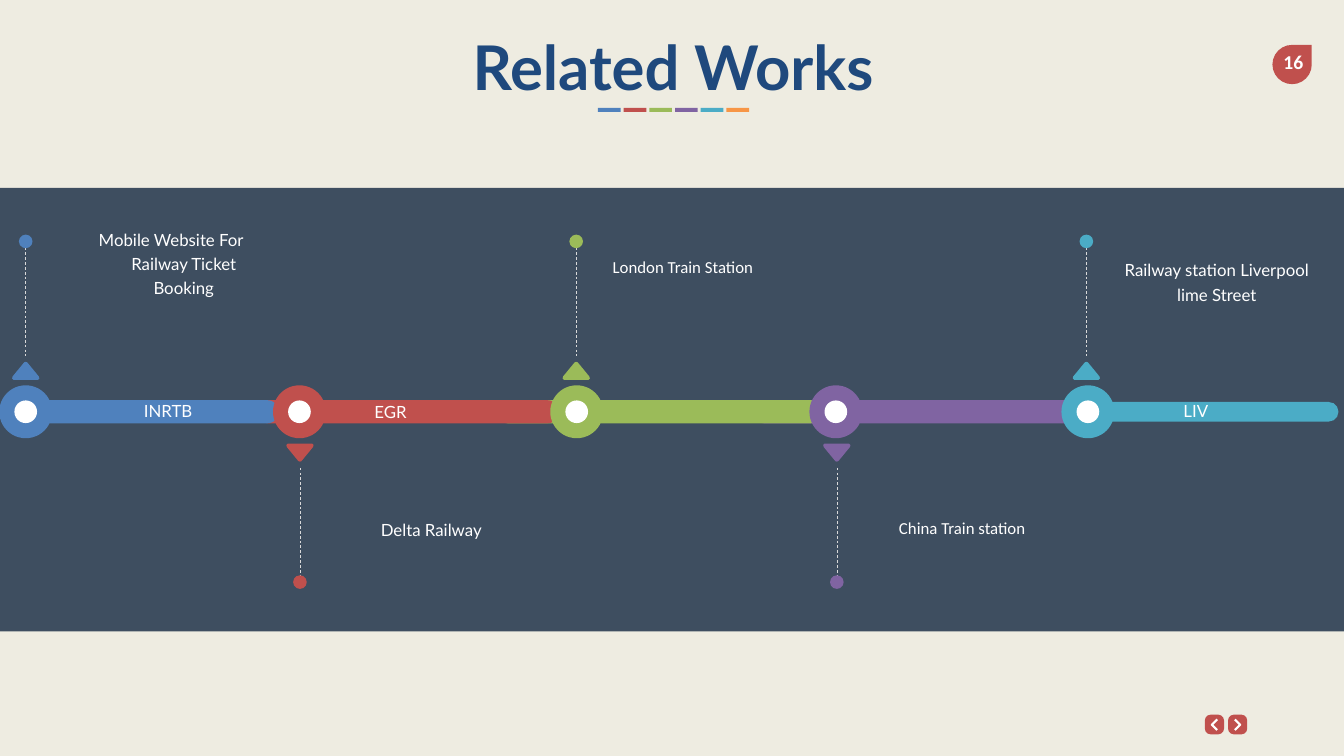
from lxml.etree import SubElement
from pptx import Presentation
from pptx.dml.color import RGBColor
from pptx.enum.dml import MSO_LINE
from pptx.enum.shapes import MSO_CONNECTOR as Connector, MSO_SHAPE as Shape
from pptx.enum.text import MSO_AUTO_SIZE as AutoSize, PP_ALIGN as Align
from pptx.oxml.ns import qn
from pptx.util import Inches, Pt

BLUE, RED, GREEN = "4F81BD", "C0504D", "9BBB59"
PURPLE, TEAL, ORANGE = "8064A2", "4BACC6", "F79646"
WHITE, NAVY, TITLE_BLUE = "FFFFFF", "0F243E", "1F497D"
CREAM, GREY = "EEECE1", "D9D9D9"
AXIS = 8.17


def color(value):
    return RGBColor.from_string(value)


class Canvas:
    font = "Lato"
    size = 24

    def __init__(self, slide):
        self.slide = slide
        slide.background.fill.solid()
        slide.background.fill.fore_color.rgb = color(CREAM)

    def paint(self, shape, fill):
        shape.shadow.inherit = False
        shape.fill.solid()
        shape.fill.fore_color.rgb = color(fill)
        shape.line.fill.background()
        return shape

    def shape(self, kind, left, top, width, height, fill, radius=None):
        shape = self.slide.shapes.add_shape(
            kind, Inches(left), Inches(top), Inches(width), Inches(height))
        if radius is not None:
            shape.adjustments[0] = radius
        return self.paint(shape, fill)

    def circle(self, x, y, diameter, fill):
        corner = x - diameter / 2, y - diameter / 2
        return self.shape(Shape.OVAL, *corner, diameter, diameter, fill)

    def polygon(self, points, fill):
        corners = [(Inches(x), Inches(y)) for x, y in points]
        builder = self.slide.shapes.build_freeform(*corners[0])
        builder.add_line_segments(corners[1:], close=True)
        return self.paint(builder.convert_to_shape(), fill)

    def dashed_line(self, x, top, bottom):
        line = self.slide.shapes.add_connector(
            Connector.STRAIGHT, Inches(x), Inches(top), Inches(x), Inches(bottom))
        line.line.color.rgb = color(GREY)
        line.line.width = Pt(1)
        line.line.dash_style = MSO_LINE.DASH
        SubElement(line._element.spPr, qn("a:effectLst"))

    def text(self, words, left, top, width, height, inset=(0.24, 0.12), wrap=True,
             spacing=None, font=None, size=None, fill=WHITE, bold=False):
        box = self.slide.shapes.add_textbox(
            Inches(left), Inches(top), Inches(width), Inches(height))
        frame = box.text_frame
        frame.text = words
        frame.word_wrap = wrap
        frame.auto_size = AutoSize.SHAPE_TO_FIT_TEXT
        frame.margin_left = frame.margin_right = Inches(inset[0])
        frame.margin_top = frame.margin_bottom = Inches(inset[1])
        paragraph = frame.paragraphs[0]
        paragraph.alignment = Align.CENTER
        paragraph.line_spacing = spacing
        for run in paragraph.runs:
            run.font.name = font or self.font
            run.font.size = Pt(size or self.size)
            run.font.bold = bold
            run.font.color.rgb = color(fill)
        return paragraph

    def bar_label(self, words, left, top, width):
        self.text(words, left, top, width, 0.4, inset=(0, 0), wrap=False)

    def nav_button(self, left, direction):
        self.shape(Shape.ROUNDED_RECTANGLE, left, 14.18, 0.38, 0.39, RED, 0.3)
        center = left + 0.19
        outline = [(-0.04, -0.12), (0.07, -0.01), (0.07, 0.01), (-0.04, 0.12),
                   (-0.07, 0.09), (0.02, 0), (-0.07, -0.09)]
        self.polygon([(center + direction * x, 14.38 + y) for x, y in outline], WHITE)

    def ring(self, x, fill):
        self.circle(x, AXIS, 1.05, fill)
        self.circle(x, AXIS, 0.45, WHITE)

    def pin(self, x, side, fill):
        outline = [(-0.24, 0.63), (-0.27, 0.66), (-0.26, 0.7), (-0.03, 0.98), (0, 0.99),
                   (0.03, 0.98), (0.26, 0.7), (0.27, 0.66), (0.24, 0.63)]
        self.polygon([(x + dx, AXIS + side * dy) for dx, dy in outline], fill)
        ends = sorted([AXIS + side * 1.11, AXIS + side * 3.26])
        self.dashed_line(x, *ends)
        self.circle(x, AXIS + side * 3.38, 0.27, fill)


def build():
    presentation = Presentation()
    presentation.slide_width = Inches(26.66)
    presentation.slide_height = Inches(15)
    canvas = Canvas(presentation.slides.add_slide(presentation.slide_layouts[6]))

    canvas.nav_button(23.9, -1)
    canvas.nav_button(24.36, 1)
    canvas.shape(Shape.TEAR, 25.24, 0.89, 0.78, 0.78, RED)
    canvas.text("16", 25.22, 0.9, 0.87, 0.67, inset=(0.2, 0.1), wrap=False,
                font="Calibri", size=28, bold=True)

    band = canvas.shape(Shape.RECTANGLE, -0.02, 3.73, 26.68, 8.8, NAVY)
    band_color = band._element.spPr.find(qn("a:solidFill"))[0]
    SubElement(band_color, qn("a:alpha"), val="79000")

    bars = [(14.93, 6.76, 0.46, PURPLE), (9.85, 6.46, 0.46, GREEN),
            (5.1, 5.99, 0.46, RED), (0.09, 5.44, 0.46, BLUE),
            (21.87, 4.68, 0.39, TEAL)]
    for left, width, height, fill in bars:
        canvas.shape(Shape.ROUNDED_RECTANGLE, left, AXIS - height / 2, width, height,
                     fill, 0.5)

    stations = [(0.51, 0.51, -1, BLUE), (5.94, 5.95, 1, RED), (11.44, 11.43, -1, GREEN),
                (16.58, 16.6, 1, PURPLE), (21.58, 21.55, -1, TEAL)]
    for ring_x, pin_x, side, fill in stations:
        canvas.ring(ring_x, fill)
        canvas.pin(pin_x, side, fill)

    canvas.bar_label("INRTB", 2.82, 7.95, 1.03)
    canvas.bar_label("EGR", 7.39, 7.97, 0.71)
    canvas.bar_label("LIV", 23.47, 7.96, 0.5)

    website = canvas.text("Mobile Website For\vRailway Ticket Booking",
                          0.76, 4.36, 4.77, 1.7, spacing=1.2)
    indents = website._p.get_or_add_pPr()
    indents.set("marL", str(Inches(1)))
    indents.set("indent", str(Inches(-0.5)))

    captions = [("Delta Railway", 6.17, 10.12, 4.77, 0.69, "Lato"),
                ("London Train Station", 11.16, 4.89, 4.77, 0.69, "Calibri"),
                ("China Train station", 16.7, 10.07, 4.77, 0.69, "Calibri"),
                ("Railway station Liverpool\vlime Street", 21.69, 4.96, 4.89, 1.18, "Lato")]
    for words, left, top, width, height, font in captions:
        canvas.text(words, left, top, width, height, spacing=1.2, font=font)

    canvas.text("Related Works", 1.9, 0.53, 22.9, 1.58, inset=(0.1, 0.05),
                size=88, fill=TITLE_BLUE, bold=True)
    for index, fill in enumerate([BLUE, RED, GREEN, PURPLE, TEAL, ORANGE]):
        canvas.shape(Shape.RECTANGLE, 11.86 + index * 0.51, 2.14, 0.45, 0.08, fill)

    presentation.save("out.pptx")


if __name__ == "__main__":
    build()
